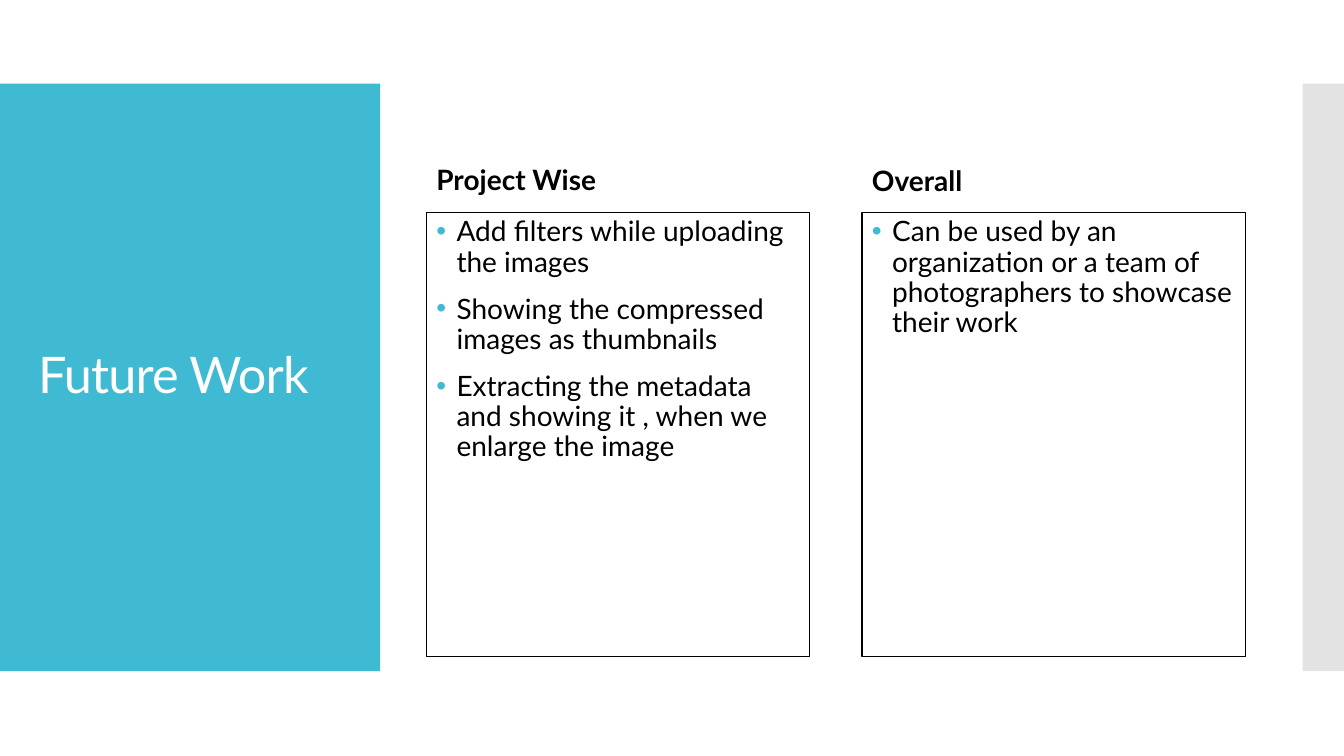
import dataclasses
import typing

import lxml.etree
import pptx
import pptx.dml.color
import pptx.enum.shapes
import pptx.enum.text
import pptx.oxml.ns
import pptx.util

HUES = {"teal": "40BAD2", "grey": "C8C8C8", "white": "FFFFFF", "black": "000000"}
FACE = "Lato"
SPACE = {"line_spacing": 0.9}
LIST = {"line_spacing": 0.9, "space_before": pptx.util.Pt(12)}
TITLE = {"name": FACE, "size": pptx.util.Pt(36)}
HEAD = {"name": FACE, "size": pptx.util.Pt(20), "bold": True}
BODY = {"name": FACE, "size": pptx.util.Pt(20)}
FRAME = {
    "word_wrap": True,
    "margin_left": pptx.util.Inches(0.1),
    "margin_right": pptx.util.Inches(0.1),
    "margin_top": pptx.util.Inches(0.05),
    "margin_bottom": pptx.util.Inches(0.05),
}


@dataclasses.dataclass(frozen=True)
class Box:
    left: float
    top: float
    width: float
    height: float

    def place(self) -> list[int]:
        return [pptx.util.Inches(part) for part in dataclasses.astuple(self)]


@dataclasses.dataclass(frozen=True)
class Panel:
    box: Box
    fill: str
    alpha: int = 100


@dataclasses.dataclass(frozen=True)
class Column:
    left: float
    depth: float
    head: str
    items: tuple[str, ...]


PANELS = (
    Panel(Box(0, 0.83, 3.77, 5.83), "teal"),
    Panel(Box(12.92, 0.83, 0.42, 5.83), "grey", 50),
)
COLUMNS = (
    Column(4.23, 0.88, "Project Wise", (
        "Add filters while uploading the images",
        "Showing the compressed images as thumbnails",
        "Extracting the metadata and showing it , when we enlarge the image",
    )),
    Column(8.55, 0.89, "Overall", (
        "Can be used by an organization or a team of photographers to showcase their work",
    )),
)


def shade(name: str) -> pptx.dml.color.RGBColor:
    return pptx.dml.color.RGBColor.from_string(HUES[name])


def style(target: typing.Any, values: dict[str, typing.Any]) -> None:
    for key, value in values.items():
        setattr(target, key, value)


def add_node(parent: typing.Any, tag: str, **values: str) -> typing.Any:
    return lxml.etree.SubElement(parent, pptx.oxml.ns.qn(tag), values)


def draw_rect(slide: typing.Any, box: Box, fill: str) -> typing.Any:
    shape = slide.shapes.add_shape(
        pptx.enum.shapes.MSO_SHAPE.RECTANGLE, *box.place())
    shape.shadow.inherit = False
    shape.fill.solid()
    shape.fill.fore_color.rgb = shade(fill)
    shape.line.fill.background()
    return shape


def draw_panel(slide: typing.Any, panel: Panel) -> None:
    shape = draw_rect(slide, panel.box, panel.fill)
    if panel.alpha < 100:
        tint = next(shape.fill._xPr.iter(pptx.oxml.ns.qn("a:srgbClr")))
        add_node(tint, "a:alpha", val=str(panel.alpha * 1000))


def write(frame: typing.Any, lines: tuple[str, ...], font: dict[str, typing.Any],
          space: dict[str, typing.Any], hue: str, anchor: str) -> None:
    style(frame, FRAME)
    frame.vertical_anchor = pptx.enum.text.MSO_ANCHOR[anchor]
    for rank, line in enumerate(lines):
        para = frame.add_paragraph() if rank else frame.paragraphs[0]
        para.alignment = pptx.enum.text.PP_ALIGN.LEFT
        style(para, space)
        run = para.add_run()
        run.text = line
        style(run.font, font)
        run.font.color.rgb = shade(hue)


def add_dots(frame: typing.Any) -> None:
    dent = pptx.util.Inches(0.2)
    for para in frame.paragraphs:
        props = para._p.get_or_add_pPr()
        props.set("marL", str(dent))
        props.set("indent", str(-dent))
        add_node(add_node(props, "a:buClr"), "a:srgbClr", val=HUES["teal"])
        add_node(props, "a:buFont", typeface="Arial")
        add_node(props, "a:buChar", char="•")


def draw_title(slide: typing.Any) -> None:
    label = slide.shapes.add_textbox(*Box(0.28, 1.23, 3.22, 5.03).place())
    write(label.text_frame, ("Future Work",), TITLE, SPACE, "white", "MIDDLE")
    run = label.text_frame.paragraphs[0].runs[0]
    run.font._element.set("spc", "-60")


def draw_column(slide: typing.Any, column: Column) -> None:
    label = slide.shapes.add_textbox(
        *Box(column.left, 1.12, 3.8, column.depth).place())
    write(label.text_frame, (column.head,), HEAD, SPACE, "black", "BOTTOM")
    card = draw_rect(slide, Box(column.left, 2.11, 3.8, 4.4), "white")
    card.line.color.rgb = shade("black")
    card.line.width = pptx.util.Pt(0.85)
    write(card.text_frame, column.items, BODY, LIST, "black", "TOP")
    add_dots(card.text_frame)


def main() -> None:
    deck = pptx.Presentation()
    style(deck, {"slide_width": pptx.util.Inches(13.33),
                 "slide_height": pptx.util.Inches(7.5)})
    slide = deck.slides.add_slide(deck.slide_layouts[6])
    for panel in PANELS:
        draw_panel(slide, panel)
    draw_title(slide)
    for column in COLUMNS:
        draw_column(slide, column)
    deck.save("out.pptx")


if __name__ == "__main__":
    main()
